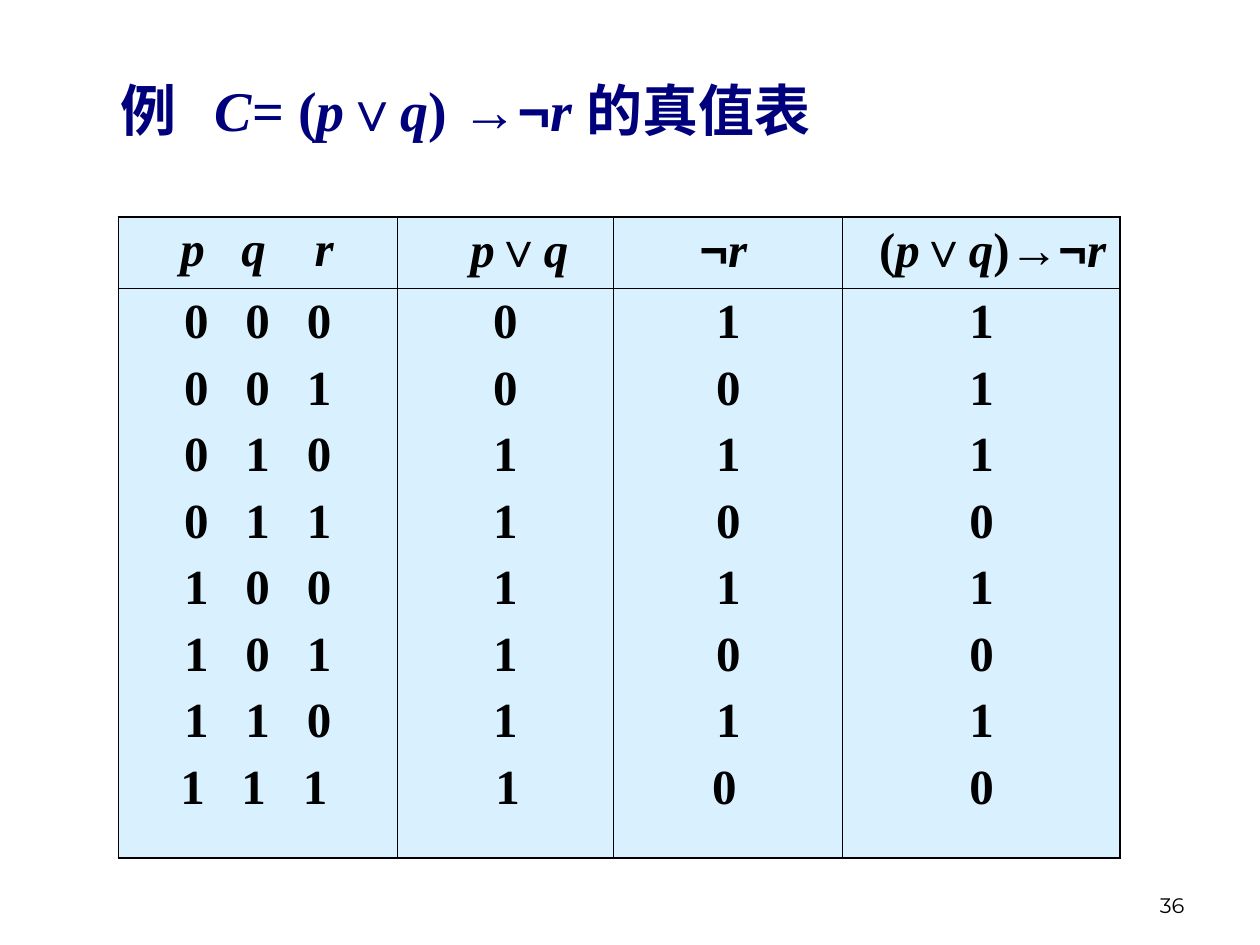
from itertools import groupby, product

from lxml import etree
from pptx import Presentation
from pptx.dml import color as dml
from pptx.enum import text as en
from pptx.oxml import ns
from pptx.util import Cm, Pt

HUES = {"ink": "000000", "navy": "00007D", "sky": "D9F1FF"}
SERIF, SANS, HAN = "Times New Roman", "Arial", "Noto Sans CJK SC"
WIDE = 1.08
THIN = 0.45


def add_tag(root, name, **attrs):
    return etree.SubElement(root, ns.qn(name), attrs)


def set_font(font, face, size, hue, bold=True):
    font.name = face
    font.size = Pt(size)
    font.bold = bold
    font.color.rgb = dml.RGBColor.from_string(HUES[hue])


def set_tabs(para, stops):
    tabs = add_tag(para._p.get_or_add_pPr(), "a:tabLst")
    for stop in stops:
        add_tag(tabs, "a:tab", pos=str(Cm(stop)), algn="l")


def style_of(char):
    if char in "pqrC":
        return SERIF, True
    if char in "∨→¬":
        return SANS, False
    return (HAN if char >= "一" else SERIF), False


def write_line(para, words, size, hue, stops=()):
    if stops:
        set_tabs(para, stops)
    for (face, slant), chars in groupby(words, style_of):
        run = para.add_run()
        run.text = "".join(chars)
        set_font(run.font, face, size, hue)
        run.font.italic = slant
        add_tag(run._r.get_or_add_rPr(), "a:ea", typeface=HAN)


def add_box(slide, box):
    frame = slide.shapes.add_textbox(*map(Cm, box)).text_frame
    frame.word_wrap = True
    return frame


def add_title(slide, box):
    frame = add_box(slide, box)
    write_line(frame.paragraphs[0], "例\tC= (p∨q) →¬r 的真值表", 32, "navy", [1.9])


def add_number(slide, box):
    frame = add_box(slide, box)
    frame.vertical_anchor = en.MSO_ANCHOR.BOTTOM
    frame.text = "36"
    para = frame.paragraphs[0]
    para.alignment = en.PP_ALIGN.RIGHT
    set_font(para.runs[0].font, "Montserrat", 12, "ink", False)


def style_cell(cell, edges):
    props = cell._tc.get_or_add_tcPr()
    for side, outer in edges.items():
        width = Pt(WIDE if outer else THIN)
        line = add_tag(props, f"a:ln{side}", w=str(width))
        fill = add_tag(line, "a:solidFill")
        add_tag(fill, "a:srgbClr", val=HUES["ink"])
    cell.fill.solid()
    cell.fill.fore_color.rgb = dml.RGBColor.from_string(HUES["sky"])


def fill_cell(cell, lines, last):
    frame = cell.text_frame
    for row, words in enumerate(lines):
        para = frame.paragraphs[0] if row == 0 else frame.add_paragraph()
        if row:
            para.space_before = Pt(7)
        stops = ()
        if "\t" in words:
            stops = last if row == len(lines) - 1 else [1.07, 2.3, 3.54]
        else:
            para.alignment = en.PP_ALIGN.CENTER
        write_line(para, words, 28, "ink", stops)


def add_truth(slide, box):
    widths, heights = [5.61, 4.37, 4.62, 5.59], [1.45, 11.48]
    heads = [("\tp\tq\tr", [0.99, 2.22, 3.7]), ("\tp∨q", [1.23]),
             ("\t¬r", [1.48]), ("\t(p∨q)→¬r", [0.48])]
    ends = [[0.99, 2.22, 3.46], [1.73], [1.73], []]
    cases = list(product((0, 1), repeat=3))
    sums = [
        ["".join(f"\t{bit}" for bit in case) for case in cases],
        [str(p | q) for p, q, r in cases],
        [str(1 - r) for p, q, r in cases],
        [str(int(not (p | q) or not r)) for p, q, r in cases],
    ]
    for col in (1, 2):
        sums[col][-1] = "\t" + sums[col][-1]

    table = slide.shapes.add_table(2, 4, *map(Cm, box)).table
    table.first_row = table.horz_banding = False
    for row, height in zip(table.rows, heights):
        row.height = Cm(height)
    for col, width in enumerate(widths):
        table.columns[col].width = Cm(width)
        for row in range(2):
            style_cell(table.cell(row, col), {
                "L": col == 0, "R": col == 3, "T": row == 0, "B": row == 1})
        words, stops = heads[col]
        fill_cell(table.cell(0, col), [words], stops)
        fill_cell(table.cell(1, col), sums[col], ends[col])


def main():
    deck = Presentation()
    deck.slide_width, deck.slide_height = Cm(25.4), Cm(19.05)
    slide = deck.slides.add_slide(deck.slide_layouts[6])
    add_number(slide, (18.21, 17.35, 5.92, 1.27))
    add_title(slide, (2.18, 1.4, 21.21, 1.63))
    add_truth(slide, (2.39, 4.37, 20.19, 12.93))
    deck.save("out.pptx")


if __name__ == "__main__":
    main()
